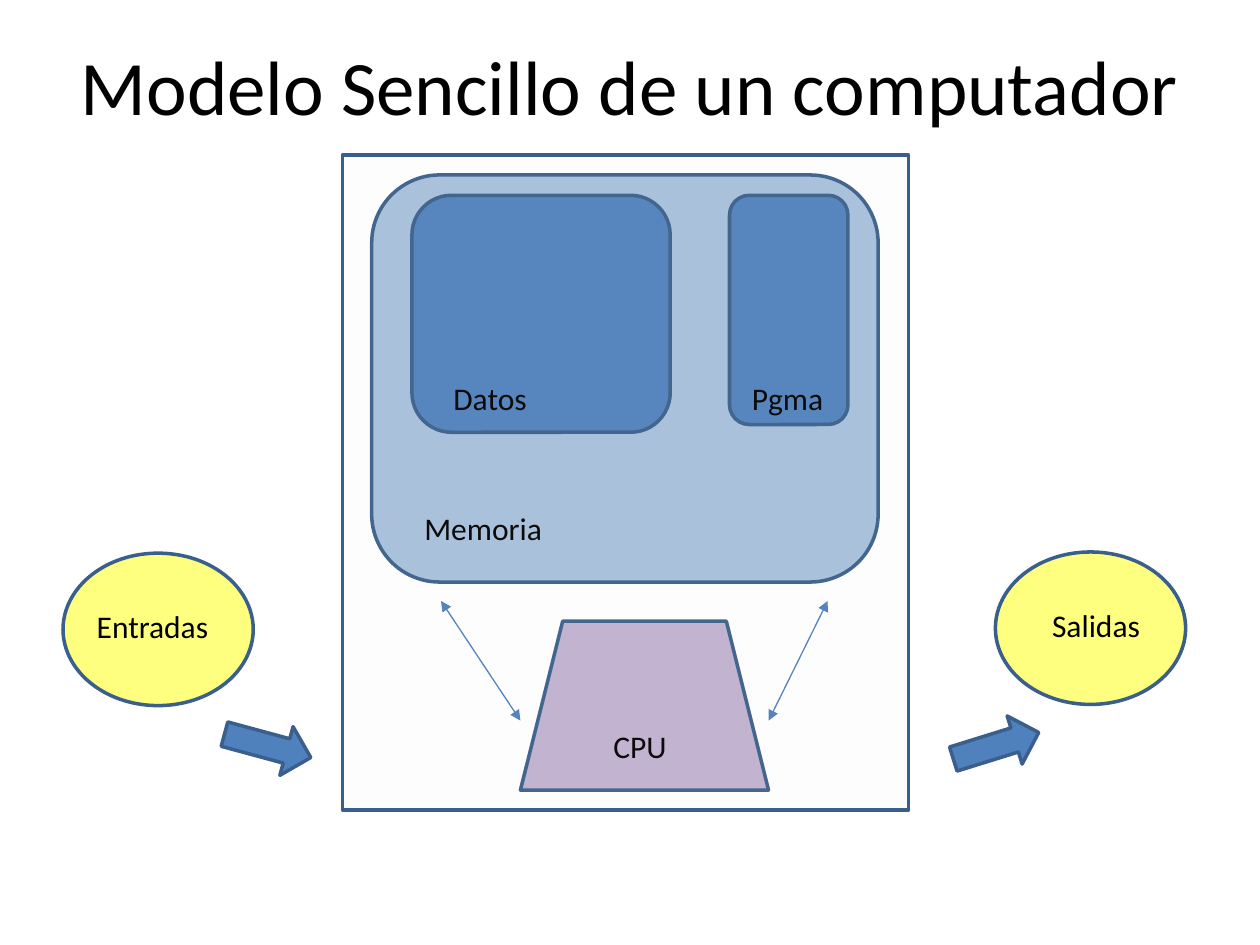
"""Build the slide showing a simple model of a computer."""
from lxml.etree import SubElement
from pptx import Presentation
from pptx.dml.color import RGBColor
from pptx.enum.shapes import MSO_CONNECTOR, MSO_SHAPE
from pptx.enum.text import MSO_ANCHOR, MSO_AUTO_SIZE, PP_ALIGN
from pptx.oxml.ns import qn
from pptx.util import Pt

COLORS = {
    "text": "000000", "blue": "4F81BD", "outline": "3A5F8C", "link": "4B7EBC",
    "purple": "8064A2", "cream": "FDEADA", "yellow": "FFFF00",
}
FONT = {"name": "Calibri", "bold": False, "italic": False}
LABEL_FRAME = {"word_wrap": True, "auto_size": MSO_AUTO_SIZE.SHAPE_TO_FIT_TEXT}
TITLE_FRAME = {"word_wrap": True, "vertical_anchor": MSO_ANCHOR.MIDDLE}
LEFT, CENTER = PP_ALIGN.LEFT, PP_ALIGN.CENTER

presentation = Presentation()
presentation.slide_width, presentation.slide_height = Pt(720), Pt(540)
slide = presentation.slides.add_slide(presentation.slide_layouts[6])


def add_block(kind, box, color, opacity=100, rotation=0):
    block = slide.shapes.add_shape(kind, *map(Pt, box))
    block.shadow.inherit = False
    block.rotation = rotation
    block.fill.solid()
    block.fill.fore_color.rgb = RGBColor.from_string(COLORS[color])
    block.line.color.rgb = RGBColor.from_string(COLORS["outline"])
    block.line.width = Pt(2)
    if opacity < 100:
        fill_color = block.fill._xPr.find(qn("a:solidFill"))[0]
        SubElement(fill_color, qn("a:alpha"), val=str(opacity * 1000))


def add_label(text, box, align=LEFT, size=18, frame_format=LABEL_FRAME):
    frame = slide.shapes.add_textbox(*map(Pt, box)).text_frame
    for name, value in frame_format.items():
        setattr(frame, name, value)
    paragraph = frame.paragraphs[0]
    paragraph.alignment = align
    run = paragraph.add_run()
    run.text = text
    for name, value in {**FONT, "size": Pt(size)}.items():
        setattr(run.font, name, value)
    run.font.color.rgb = RGBColor.from_string(COLORS["text"])


add_label("Modelo Sencillo de un computador", (36, 3.6, 648, 90), CENTER, 44, TITLE_FRAME)

computer_parts = [
    ("Memoria", MSO_SHAPE.ROUNDED_RECTANGLE, (212.4, 100, 289.4, 232.6), "blue", 50,
     (235.4, 287.3, 118.8, 29), LEFT),
    ("Datos", MSO_SHAPE.ROUNDED_RECTANGLE, (235.4, 111.6, 147.6, 135.4), "blue", 100,
     (252, 213.1, 73.4, 29), LEFT),
    ("Pgma", MSO_SHAPE.ROUNDED_RECTANGLE, (416.9, 111.6, 67.7, 131), "blue", 100,
     (422.6, 213.1, 62.6, 29), LEFT),
    ("CPU", MSO_SHAPE.TRAPEZOID, (297.4, 355, 141.8, 96.5), "purple", 50,
     (326.2, 411.8, 79.2, 29), CENTER),
]
for name, kind, box, color, opacity, label_box, align in computer_parts:
    add_block(kind, box, color, opacity)
    add_label(name, label_box, align)

for ends in [(252, 343.4, 297.4, 411.8), (439.2, 411.8, 473, 343.4)]:
    link = slide.shapes.add_connector(MSO_CONNECTOR.STRAIGHT, *map(Pt, ends))
    link.line.color.rgb = RGBColor.from_string(COLORS["link"])
    link.line.width = Pt(0.75)
    for arrowhead in ("a:headEnd", "a:tailEnd"):
        SubElement(link.line._get_or_add_ln(), qn(arrowhead), type="triangle")
    SubElement(link._element.spPr, qn("a:effectLst"))

add_block(MSO_SHAPE.RECTANGLE, (195.8, 88.6, 323.3, 374.4), "cream", 5)

for name, left, top, align, arrow_left, rotation in [
    ("Entradas", 36, 316.1, LEFT, 127.4, 15.2),
    ("Salidas", 568.8, 315.4, CENTER, 543.6, 342.7),
]:
    add_block(MSO_SHAPE.OVAL, (left, top, 108.7, 87.1), "yellow", 50)
    add_label(name, (left + 12.2, top + 27.4, 90.7, 29), align)
    add_block(MSO_SHAPE.RIGHT_ARROW, (arrow_left, 411.8, 51.1, 28.8), "blue", rotation=rotation)

presentation.save("out.pptx")
